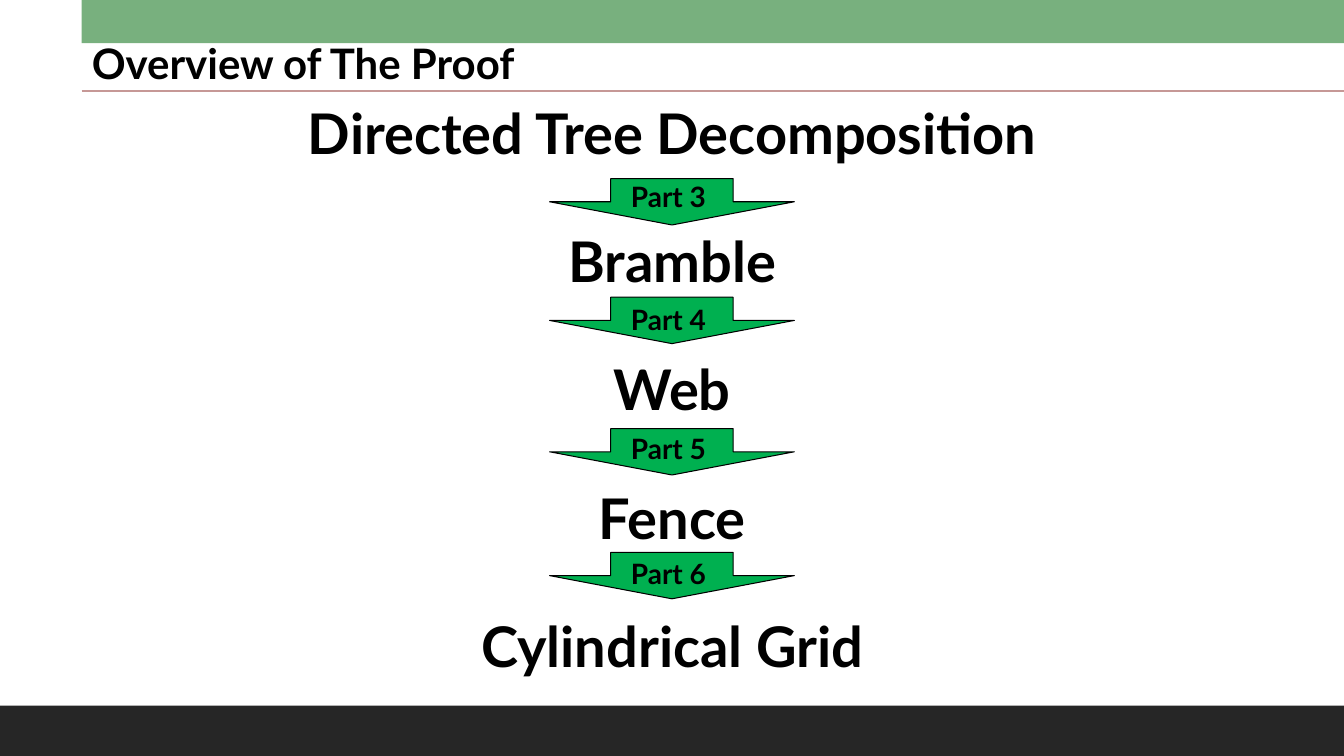
from dataclasses import dataclass

from lxml import etree
from pptx import Presentation
from pptx import util as u
from pptx.dml.color import RGBColor
from pptx.enum import shapes, text
from pptx.oxml import ns

FONT = "Lato"
BLACK = "000000"
PAGE_WIDTH, PAGE_HEIGHT = 33.87, 19.05
MARGIN = 2.06
STAGE_TOP, STAGE_STEP = 2.36, 3.23
ARROW_WIDTH, ARROW_HEIGHT = 6.17, 1.17
LABEL_WIDTH, LABEL_HEIGHT = 2.57, 1.12


@dataclass(frozen=True)
class Box:
    left: float
    top: float
    width: float
    height: float

    def lengths(self) -> tuple:
        return tuple(u.Cm(side) for side in (self.left, self.top, self.width, self.height))


@dataclass(frozen=True)
class Step:
    label: str
    arrow_top: float
    label_top: float


STAGES = ["Directed Tree Decomposition", "Bramble", "Web", "Fence", "Cylindrical Grid"]
STEPS = [
    Step("Part 3", 4.5, 4.39),
    Step("Part 4", 7.49, 7.49),
    Step("Part 5", 10.8, 10.74),
    Step("Part 6", 13.92, 13.89),
]


def colour(value: str) -> RGBColor:
    return RGBColor.from_string(value)


def write(shape, words: str, *, size: float, align=text.PP_ALIGN.LEFT) -> None:
    frame = shape.text_frame
    frame.word_wrap = True
    frame.auto_size = text.MSO_AUTO_SIZE.NONE
    frame.vertical_anchor = text.MSO_ANCHOR.TOP
    para = frame.paragraphs[0]
    para.alignment = align
    span = para.add_run()
    span.text = words
    span.font.name = FONT
    span.font.size = u.Pt(size)
    span.font.bold = True
    span.font.color.rgb = colour(BLACK)


def add_label(page, box: Box, words: str, *, size: float, align=text.PP_ALIGN.LEFT) -> None:
    write(page.shapes.add_textbox(*box.lengths()), words, size=size, align=align)


def add_block(page, kind, box: Box, fill: str, outline: str = "") -> None:
    block = page.shapes.add_shape(kind, *box.lengths())
    block.shadow.inherit = False
    block.fill.solid()
    block.fill.fore_color.rgb = colour(fill)
    if outline:
        block.line.color.rgb = colour(outline)
        block.line.width = u.Pt(0.75)
    else:
        block.line.fill.background()


def add_rule(page, left: float, right: float, top: float) -> None:
    rule = page.shapes.add_connector(
        shapes.MSO_CONNECTOR.STRAIGHT, u.Cm(left), u.Cm(top), u.Cm(right), u.Cm(top)
    )
    rule.line.color.rgb = colour("C69896")
    rule.line.width = u.Pt(1)
    etree.SubElement(rule.element.spPr, ns.qn("a:effectLst"))


def add_title(page, box: Box, words: str) -> None:
    title = page.shapes.title
    title.left, title.top, title.width, title.height = box.lengths()
    write(title, words, size=30)


def add_step(page, step: Step) -> None:
    arrow = Box((PAGE_WIDTH - ARROW_WIDTH) / 2, step.arrow_top, ARROW_WIDTH, ARROW_HEIGHT)
    label = Box((PAGE_WIDTH - LABEL_WIDTH) / 2, step.label_top, LABEL_WIDTH, LABEL_HEIGHT)
    add_block(page, shapes.MSO_SHAPE.DOWN_ARROW, arrow, "00B050", BLACK)
    add_label(page, label, step.label, size=20)


def main() -> None:
    deck = Presentation()
    deck.slide_width, deck.slide_height = u.Cm(PAGE_WIDTH), u.Cm(PAGE_HEIGHT)
    page = deck.slides.add_slide(deck.slide_layouts.get_by_name("Title Only"))

    rectangle = shapes.MSO_SHAPE.RECTANGLE
    add_block(page, rectangle, Box(0, PAGE_HEIGHT - 1.27, PAGE_WIDTH, 1.27), "262626")
    add_block(page, rectangle, Box(MARGIN, 0, PAGE_WIDTH - MARGIN, 1.09), "78B07E")
    add_rule(page, MARGIN, PAGE_WIDTH, 2.29)
    add_title(page, Box(MARGIN, 0.81, 23.93, 1.55), "Overview of The Proof")

    for index, stage in enumerate(STAGES):
        box = Box(1.19, STAGE_TOP + index * STAGE_STEP, 31.5, 1.96)
        add_label(page, box, stage, size=40, align=text.PP_ALIGN.CENTER)
    for step in STEPS:
        add_step(page, step)

    deck.save("out.pptx")


if __name__ == "__main__":
    main()
